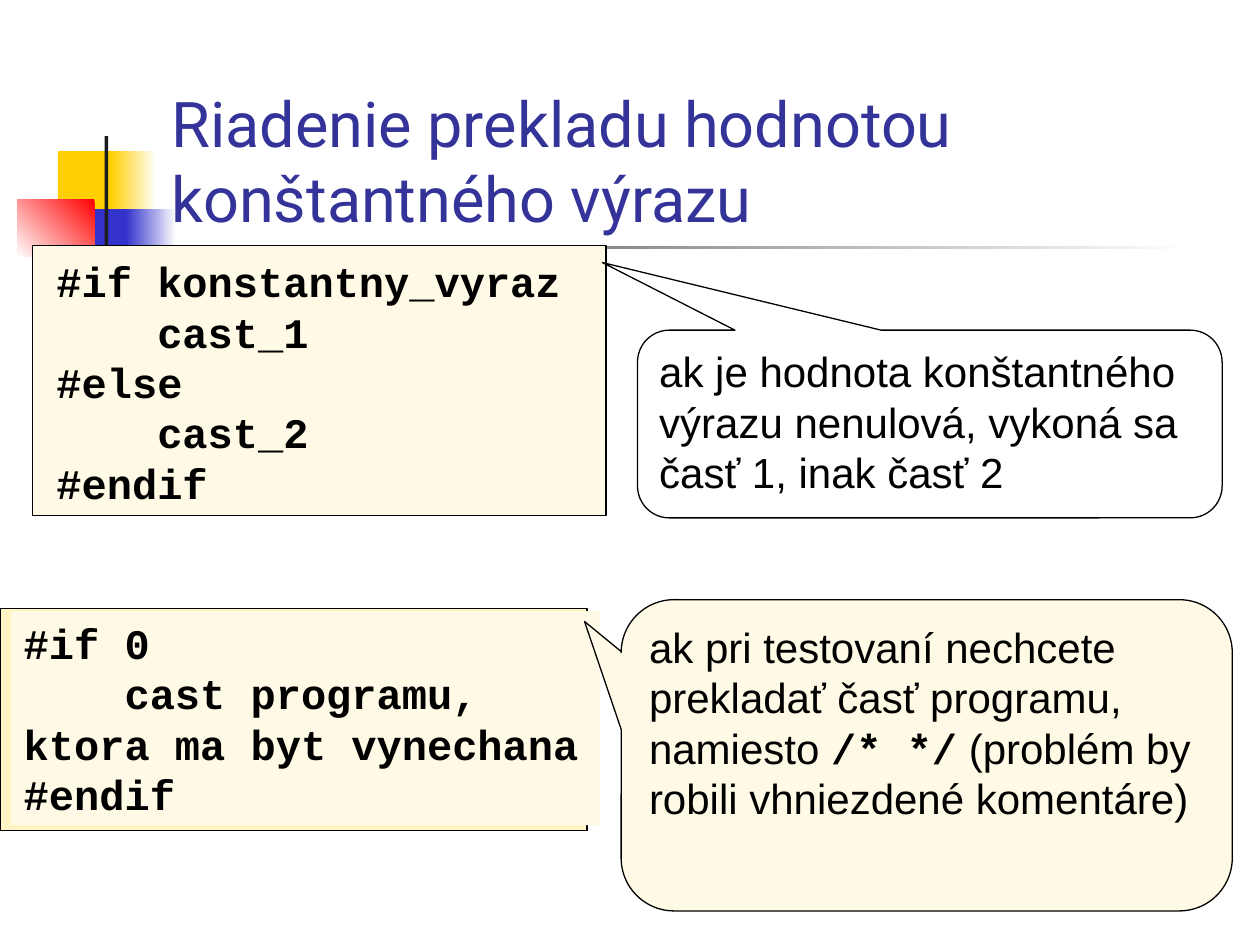
"""Build a slide on steering compilation by the value of a constant expression."""
from dataclasses import dataclass

from pptx import Presentation
from pptx.dml.color import RGBColor
from pptx.enum.shapes import MSO_SHAPE
from pptx.enum.text import MSO_ANCHOR, MSO_AUTO_SIZE, PP_ALIGN
from pptx.util import Inches, Pt

RECT = MSO_SHAPE.RECTANGLE
CALLOUT = MSO_SHAPE.ROUNDED_RECTANGULAR_CALLOUT
TOP, BOTTOM = MSO_ANCHOR.TOP, MSO_ANCHOR.BOTTOM
LEFT = PP_ALIGN.LEFT
NO_FIT = MSO_AUTO_SIZE.NONE

WHITE = RGBColor(0xFF, 0xFF, 0xFF)
BLACK = RGBColor(0x00, 0x00, 0x00)
YELLOW = RGBColor(0xFF, 0xCF, 0x01)
BLUE = RGBColor(0x33, 0x33, 0xCC)
RED = RGBColor(0xFF, 0x00, 0x00)
DARK = RGBColor(0x1C, 0x1C, 0x1C)
NAVY = RGBColor(0x33, 0x33, 0x99)
CREAM = RGBColor(0xFF, 0xFA, 0xE5)
SAND = RGBColor(0xFF, 0xF4, 0xC3)

SANS, MONO, HEAD = "Arial", "Courier New", "Roboto"


@dataclass(frozen=True)
class Box:
    left: float
    top: float
    width: float
    height: float

    def place(self) -> tuple:
        return tuple(map(Inches, (self.left, self.top, self.width, self.height)))


@dataclass(frozen=True)
class Block:
    box: Box
    fill: RGBColor
    fade: RGBColor | None = None
    angle: int = 180


@dataclass(frozen=True)
class Note:
    box: Box
    fill: RGBColor
    tip: tuple[float, float]
    runs: tuple[str, ...]


DECOR = (
    Block(Box(0.46, 1.2, 0.48, 0.52), YELLOW),
    Block(Box(0.88, 1.2, 0.36, 0.52), WHITE, YELLOW),
    Block(Box(0.59, 1.66, 0.46, 0.52), BLUE),
    Block(Box(1, 1.66, 0.4, 0.52), WHITE, BLUE),
    Block(Box(0.14, 1.58, 0.61, 0.46), RED, WHITE, 225),
    Block(Box(0.83, 1.08, 0.03, 1.15), DARK),
    Block(Box(0.48, 1.95, 9, 0.03), WHITE, DARK),
)

FIRST = ("#if konstantny_vyraz", "    cast_1", "#else", "    cast_2", "#endif")
SECOND = ("#if 0", "    cast programu, ktora ma byt vynechana", "#endif")

NOTES = (
    Note(Box(5.06, 2.62, 4.64, 1.49), WHITE, (-0.56, -0.86),
         ("ak je hodnota konštantného výrazu nenulová, vykoná sa časť 1, inak časť 2",)),
    Note(Box(4.93, 4.76, 4.85, 2.47), CREAM, (-0.56, -0.43),
         ("ak pri testovaní nechcete prekladať časť programu, namiesto ",
          "/* */", " (problém by robili vhniezdené komentáre)")),
)


def draw(slide, block: Block, kind=RECT, edge: bool = False):
    shape = slide.shapes.add_shape(kind, *block.box.place())
    shape.shadow.inherit = False
    if block.fade is None:
        shape.fill.solid()
        shape.fill.fore_color.rgb = block.fill
    else:
        shape.fill.gradient()
        shape.fill.gradient_angle = block.angle
        for stop, tint in zip(shape.fill.gradient_stops, (block.fill, block.fade)):
            stop.color.rgb = tint
    if edge:
        shape.line.color.rgb = BLACK
        shape.line.width = Pt(0.75)
    else:
        shape.line.fill.background()
    return shape


def set_frame(frame, anchor=TOP) -> None:
    frame.word_wrap = True
    frame.auto_size = NO_FIT
    frame.vertical_anchor = anchor
    frame.margin_left = frame.margin_right = Inches(0.1)
    frame.margin_top = frame.margin_bottom = Inches(0.05)


def set_font(font, name: str, size: int, tint: RGBColor, bold: bool = False) -> None:
    font.name = name
    font.size = Pt(size)
    font.bold = bold
    font.color.rgb = tint


def add_code(frame, lines: tuple[str, ...]) -> None:
    set_frame(frame)
    frame.text = "\n".join(lines)
    for para in frame.paragraphs:
        para.alignment = LEFT
        set_font(para.font, MONO, 24, BLACK, True)


def add_note(slide, note: Note) -> None:
    shape = draw(slide, Block(note.box, note.fill), CALLOUT, True)
    for spot, value in enumerate((*note.tip, 0.17)):
        shape.adjustments[spot] = value
    set_frame(shape.text_frame)
    para = shape.text_frame.paragraphs[0]
    para.alignment = LEFT
    for order, text in enumerate(note.runs):
        run = para.add_run()
        run.text = text
        code = order % 2 == 1
        set_font(run.font, MONO if code else SANS, 24, BLACK, code)


def add_title(slide) -> None:
    title = slide.shapes.title
    title.element.getparent().append(title.element)
    title.left, title.top, title.width, title.height = Box(1.26, 0.67, 8.52, 1.25).place()
    frame = title.text_frame
    set_frame(frame, BOTTOM)
    frame.text = "Riadenie prekladu hodnotou konštantného výrazu"
    para = frame.paragraphs[0]
    para.alignment = LEFT
    set_font(para.font, HEAD, 36, NAVY)


def main() -> None:
    deck = Presentation()
    deck.slide_width, deck.slide_height = Inches(10), Inches(7.5)
    slide = deck.slides.add_slide(deck.slide_layouts[5])
    for block in DECOR:
        draw(slide, block)
    add_title(slide)

    draw(slide, Block(Box(0.26, 1.95, 4.55, 2.14), CREAM), edge=True)
    text = slide.shapes.add_textbox(*Box(0.35, 1.98, 4.23, 2.1).place())
    add_code(text.text_frame, FIRST)

    draw(slide, Block(Box(0, 4.83, 4.66, 1.76), SAND), edge=True)
    panel = draw(slide, Block(Box(0.09, 4.85, 4.67, 1.7), CREAM))
    add_code(panel.text_frame, SECOND)

    for note in NOTES:
        add_note(slide, note)
    deck.save("out.pptx")


if __name__ == "__main__":
    main()
